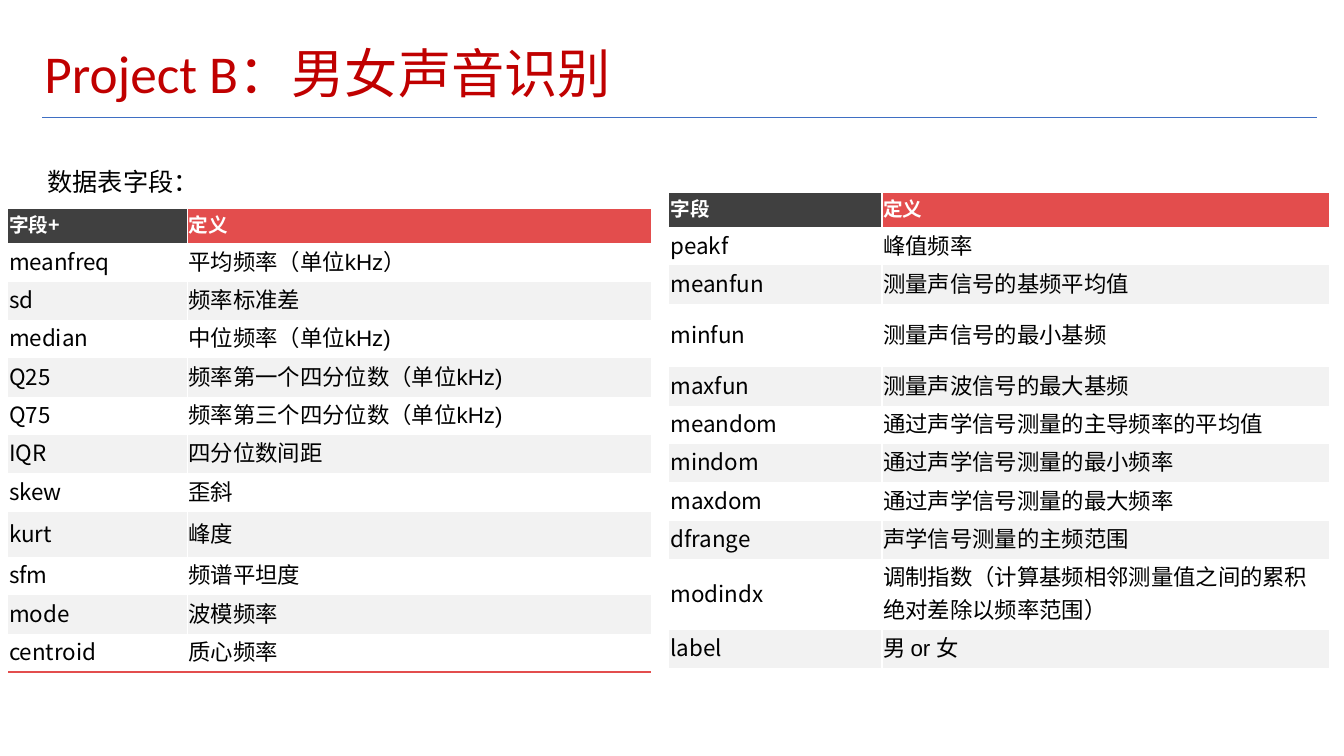
import pptx
import pptx.dml.color
import pptx.enum.shapes
import pptx.enum.text
import pptx.oxml
import pptx.oxml.ns
import pptx.util

PX = 9144  # EMU per px, 100 px to the inch

THEME = {
    "title": {"name": "Calibri", "size": 38, "color": "C00000"},
    "body": {"name": "Calibri", "size": 18, "color": "000000"},
    "header": {"name": "Noto Sans CJK SC", "size": 14, "color": "FFFFFF", "bold": True},
    "field": {"name": "Noto Sans CJK SC", "size": 16, "color": "000000", "bold": False},
    "meaning": {"name": "Arial", "size": 16, "color": "000000", "bold": False},
    "header_fills": ("404040", "E34D4D"),
    "band_fills": ("FFFFFF", "F2F2F2"),
    "divider": "FFFFFF",
    "closing": "E34D4D",
    "rule": "3F6FC3",
}
NO_GRID_STYLE = "{2D5ABB26-0587-4C30-8999-92F81FD0307C}"

SPECTRUM_ROWS = [
    ("字段+", "定义"),
    ("meanfreq", "平均频率（单位kHz）"),
    ("sd", "频率标准差"),
    ("median", "中位频率（单位kHz)"),
    ("Q25", "频率第一个四分位数（单位kHz)"),
    ("Q75", "频率第三个四分位数（单位kHz)"),
    ("IQR", "四分位数间距"),
    ("skew", "歪斜"),
    ("kurt", "峰度"),
    ("sfm", "频谱平坦度"),
    ("mode", "波模频率"),
    ("centroid", "质心频率"),
]
SIGNAL_ROWS = [
    ("字段", "定义"),
    ("peakf", "峰值频率"),
    ("meanfun", "测量声信号的基频平均值"),
    ("minfun", "测量声信号的最小基频"),
    ("maxfun", "测量声波信号的最大基频"),
    ("meandom", "通过声学信号测量的主导频率的平均值"),
    ("mindom", "通过声学信号测量的最小频率"),
    ("maxdom", "通过声学信号测量的最大频率"),
    ("dfrange", "声学信号测量的主频范围"),
    ("modindx", "调制指数（计算基频相邻测量值之间的累积绝对差除以频率范围）"),
    ("label", "男 or 女"),
]


def px(length):
    return pptx.util.Emu(length * PX)


def rgb(code):
    return pptx.dml.color.RGBColor.from_string(code)


def xml(markup):
    return pptx.oxml.parse_xml(markup.replace(">", f" {pptx.oxml.ns.nsdecls('a')}>", 1))


def write(frame, text, style, **paragraph_format):
    para = frame.paragraphs[0]
    for name, value in paragraph_format.items():
        setattr(para, name, value)
    span = para.add_run()
    span.text = text
    values = {**style, "size": pptx.util.Pt(style["size"])}
    span.font.color.rgb = rgb(values.pop("color"))
    for name, value in values.items():
        setattr(span.font, name, value)


def fill_placeholder(box, bounds, text, style, anchor, **paragraph_format):
    box.left, box.top, box.width, box.height = map(px, bounds)
    frame = box.text_frame
    values = {"margin_left": px(5), "margin_right": px(5), "margin_top": px(5),
              "margin_bottom": px(5), "word_wrap": True, "vertical_anchor": anchor,
              "auto_size": pptx.enum.text.MSO_AUTO_SIZE.NONE}
    for name, value in values.items():
        setattr(frame, name, value)
    write(frame, text, style, **paragraph_format)


def remove_bullet(para):
    properties = para._p.get_or_add_pPr()
    properties.set("marL", "0")
    properties.set("indent", "0")
    properties.append(xml("<a:buNone></a:buNone>"))


def add_rule(page, left, right, top):
    rule = page.shapes.add_connector(
        pptx.enum.shapes.MSO_CONNECTOR.STRAIGHT, px(left), px(top), px(right), px(top))
    rule.line.color.rgb = rgb(THEME["rule"])
    rule.line.width = pptx.util.Pt(0.75)
    rule._element.spPr.append(xml("<a:effectLst></a:effectLst>"))


def add_border(cell, side, color):
    cell._tc.get_or_add_tcPr().append(xml(
        f'<a:ln{side} w="19050"><a:solidFill><a:srgbClr val="{color}"/></a:solidFill></a:ln{side}>'))


def format_cell(cell, text, style, fill, anchor, borders):
    values = {"margin_left": px(1), "margin_right": px(1), "margin_top": px(1),
              "margin_bottom": px(5), "vertical_anchor": anchor}
    for name, value in values.items():
        setattr(cell, name, value)
    for side, color in borders.items():
        add_border(cell, side, color)
    cell.fill.solid()
    cell.fill.fore_color.rgb = rgb(fill)
    write(cell.text_frame, text, style)


def add_field_table(page, bounds, widths, heights, rows, closing_line=False):
    table = page.shapes.add_table(len(rows), len(widths), *map(px, bounds)).table
    table._tbl.tblPr.find(pptx.oxml.ns.qn("a:tableStyleId")).text = NO_GRID_STYLE
    for column, width in zip(table.columns, widths):
        column.width = px(width)
    anchors = pptx.enum.text.MSO_ANCHOR
    for r, (row, height) in enumerate(zip(rows, heights)):
        table.rows[r].height = px(height)
        for c, text in enumerate(row):
            borders = {"R" if c == 0 else "L": THEME["divider"]}
            if closing_line and r == len(rows) - 1:
                borders["B"] = THEME["closing"]
            if r == 0:
                look = THEME["header"], THEME["header_fills"][c], anchors.TOP
            else:
                style = THEME[("field", "meaning")[c]]
                look = style, THEME["band_fills"][(r - 1) % 2], anchors.MIDDLE
            format_cell(table.cell(r, c), text, *look, borders)


def main():
    deck = pptx.Presentation()
    deck.slide_width, deck.slide_height = px(1333), px(750)
    page = deck.slides.add_slide(deck.slide_layouts[1])
    title, body = page.placeholders

    # Heading and the rule under it
    add_rule(page, 42, 1306, 117)
    fill_placeholder(title, (39, 40, 1113, 71), "Project B：男女声音识别", THEME["title"],
                     pptx.enum.text.MSO_ANCHOR.MIDDLE,
                     alignment=pptx.enum.text.PP_ALIGN.LEFT, line_spacing=0.9)

    # Lead-in to the tables
    remove_bullet(body.text_frame.paragraphs[0])
    fill_placeholder(body, (42, 145, 677, 460), "数据表字段：", THEME["body"],
                     pptx.enum.text.MSO_ANCHOR.TOP,
                     line_spacing=1.5, space_before=pptx.util.Pt(0))

    # Field tables, right then left
    add_field_table(page, (664, 191, 654, 420), (211, 443),
                    [30, 33, 33, 63] + [33] * 5 + [60, 33], SIGNAL_ROWS)
    add_field_table(page, (8, 207, 638, 405), (178, 460),
                    [30] + [26] * 7 + [45] + [26] * 3, SPECTRUM_ROWS, closing_line=True)

    deck.save("out.pptx")


if __name__ == "__main__":
    main()
